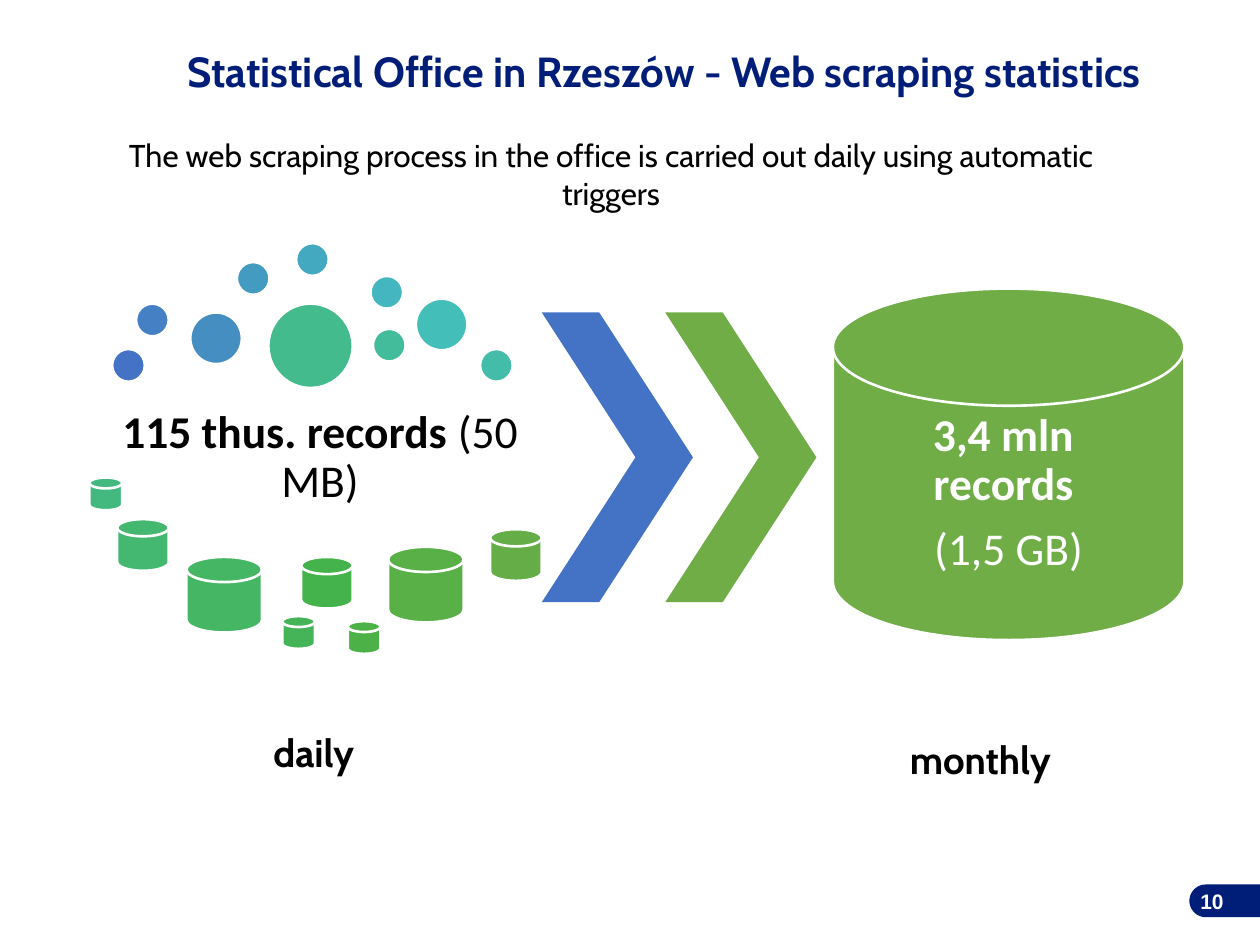
from colorsys import hls_to_rgb, rgb_to_hls
from math import cos, pi, sin

from pptx import Presentation
from pptx.dml.color import RGBColor
from pptx.enum.shapes import MSO_SHAPE
from pptx.enum.text import MSO_ANCHOR, MSO_AUTO_SIZE, PP_ALIGN
from pptx.util import Inches, Pt

COLOURS = {
    "navy": "001D77",
    "blue": "4472C4",
    "green": "70AD47",
    "black": "000000",
    "white": "FFFFFF",
}
SMALL, MEDIUM, LARGE, HUGE = 0.26, 0.41, 0.6, 0.67

# Offset from the left and top of the daily region, then diameter.
BUBBLES = [
    (0.18, 0.84, SMALL), (0.37, 0.48, SMALL), (0.8, 0.55, MEDIUM),
    (1.17, 0.15, SMALL), (1.64, 0, SMALL), (2.23, 0.26, SMALL),
    (2.59, 0.44, MEDIUM), (3.1, 0.84, SMALL), (2.25, 0.68, SMALL),
    (1.42, 0.48, HUGE),
]
DISKS = [
    (0, 1.86, SMALL), (0.22, 2.19, MEDIUM), (0.77, 2.49, LARGE),
    (1.53, 2.96, SMALL), (1.68, 2.49, MEDIUM), (2.05, 3, SMALL),
    (2.37, 2.41, LARGE), (3.18, 2.27, MEDIUM),
]


def rgb(name):
    return RGBColor.from_string(COLOURS[name])


def blend(start, end, fraction):
    """Colour part of the way from start to end, mixed by hue."""
    first, last = (rgb_to_hls(*(part / 255 for part in rgb(name)))
                   for name in (start, end))
    mixed = [a + (b - a) * fraction for a, b in zip(first, last)]
    return RGBColor(*(round(part * 255) for part in hls_to_rgb(*mixed)))


def paint(shape, fill, outlined):
    shape.shadow.inherit = False
    shape.fill.solid()
    shape.fill.fore_color.rgb = fill
    if outlined:
        shape.line.color.rgb = rgb("white")
        shape.line.width = Pt(1.5)
    else:
        shape.line.fill.background()


def add_preset(slide, kind, left, top, width, height, fill, outlined=True):
    shape = slide.shapes.add_shape(
        kind, Inches(left), Inches(top), Inches(width), Inches(height))
    paint(shape, fill, outlined)
    return shape


def add_run(paragraph, text, size, font="Cabin", colour="black", bold=False):
    run = paragraph.add_run()
    run.text = text
    run.font.size = Pt(size)
    run.font.name = font
    run.font.bold = bold
    run.font.color.rgb = rgb(colour)


def add_text_box(slide, left, top, width, height, inset=None, middle=False):
    frame = slide.shapes.add_textbox(
        Inches(left), Inches(top), Inches(width), Inches(height)).text_frame
    frame.word_wrap = True
    frame.vertical_anchor = MSO_ANCHOR.MIDDLE if middle else MSO_ANCHOR.TOP
    if inset is not None:
        frame.margin_left = frame.margin_right = Inches(inset)
        frame.margin_top = frame.margin_bottom = Inches(inset)
    frame.paragraphs[0].alignment = PP_ALIGN.CENTER
    return frame


def format_amount(paragraph):
    paragraph.alignment = PP_ALIGN.CENTER
    paragraph.line_spacing = 0.9
    paragraph.space_after = Pt(9)


def add_title(slide, left, top, width, height):
    title = slide.shapes.title
    title.left, title.top = Inches(left), Inches(top)
    title.width, title.height = Inches(width), Inches(height)
    frame = title.text_frame
    frame.auto_size = MSO_AUTO_SIZE.NONE
    frame.vertical_anchor = MSO_ANCHOR.TOP
    paragraph = frame.paragraphs[0]
    paragraph.alignment = PP_ALIGN.CENTER
    add_run(paragraph, "Statistical Office in Rzeszów - Web scraping statistics",
            24, colour="navy", bold=True)


def add_caption(slide, left, top, width, height, text, size, bold):
    frame = add_text_box(slide, left, top, width, height)
    add_run(frame.paragraphs[0], text, size, bold=bold)


def add_daily_region(slide, left, top):
    """Bubbles above and disks below the daily amount, blue turning to green."""
    frame = add_text_box(slide, left + 0.19, top + 1.17, 3.28, 1.08, 0.04, True)
    paragraph = frame.paragraphs[0]
    format_amount(paragraph)
    add_run(paragraph, "115 thus. records ", 26, "Calibri", bold=True)
    add_run(paragraph, "(50 MB)", 26, "Calibri")

    items = [(MSO_SHAPE.OVAL, place) for place in BUBBLES]
    items += [(MSO_SHAPE.FLOWCHART_MAGNETIC_DISK, place) for place in DISKS]
    for index, (kind, (x, y, size)) in enumerate(items):
        add_preset(slide, kind, left + x, top + y, size, size,
                   blend("blue", "green", index / len(items)))


def add_chevrons(slide, left, top, width, height, pitch):
    for index, colour in enumerate(("blue", "green")):
        chevron = add_preset(slide, MSO_SHAPE.CHEVRON, left + index * pitch, top,
                             width, height, rgb(colour), outlined=False)
        chevron.adjustments[0] = 0.62


def add_monthly_region(slide, left, top, size):
    add_preset(slide, MSO_SHAPE.FLOWCHART_MAGNETIC_DISK, left, top, size, size,
               rgb("green"))
    frame = add_text_box(slide, left, top + size / 3, size, size / 2, 0, True)
    records = frame.paragraphs[0]
    format_amount(records)
    add_run(records, "3,4 mln ", 26, "Calibri", "white", True)
    records.add_line_break()
    add_run(records, "records ", 26, "Calibri", "white", True)
    volume = frame.add_paragraph()
    format_amount(volume)
    add_run(volume, "(1,5 GB)", 26, "Calibri", "white")


def add_page_tab(slide, left, top, width, height):
    """Tab with a round left end, running to the slide's right edge."""
    radius = height / 2
    steps = 24
    angles = [pi / 2 + pi * step / steps for step in range(steps + 1)]
    arc = [(Inches(left + radius + radius * cos(angle)),
            Inches(top + radius - radius * sin(angle))) for angle in angles]
    right = Inches(left + width)
    builder = slide.shapes.build_freeform(right, Inches(top))
    builder.add_line_segments(arc + [(right, Inches(top + height))], close=True)
    paint(builder.convert_to_shape(), rgb("navy"), outlined=False)

    frame = add_text_box(slide, left - 0.09, top - 0.07, 0.46, 0.4, middle=True)
    paragraph = frame.paragraphs[0]
    paragraph.alignment = PP_ALIGN.RIGHT
    add_run(paragraph, "10", 12, "Arial", "white", True)


def main():
    presentation = Presentation()
    presentation.slide_width, presentation.slide_height = Inches(10), Inches(7.5)
    slide = presentation.slides.add_slide(presentation.slide_layouts[5])
    add_page_tab(slide, 9.44, 7.02, 0.56, 0.26)
    add_title(slide, 0.61, 0.31, 9.32, 0.5)
    add_daily_region(slide, 0.71, 1.93)
    add_chevrons(slide, 4.3, 2.48, 1.2, 2.3, pitch=0.98)
    add_monthly_region(slide, 6.61, 2.29, 2.79)
    add_caption(slide, 0.83, 5.74, 3.32, 0.47, "daily", 22, True)
    add_caption(slide, 6.12, 5.79, 3.32, 0.47, "monthly", 22, True)
    add_caption(slide, 0.68, 1.03, 8.34, 0.71,
                "The web scraping process in the office is carried out daily "
                "using automatic triggers", 18, False)
    presentation.save("out.pptx")


if __name__ == "__main__":
    main()
